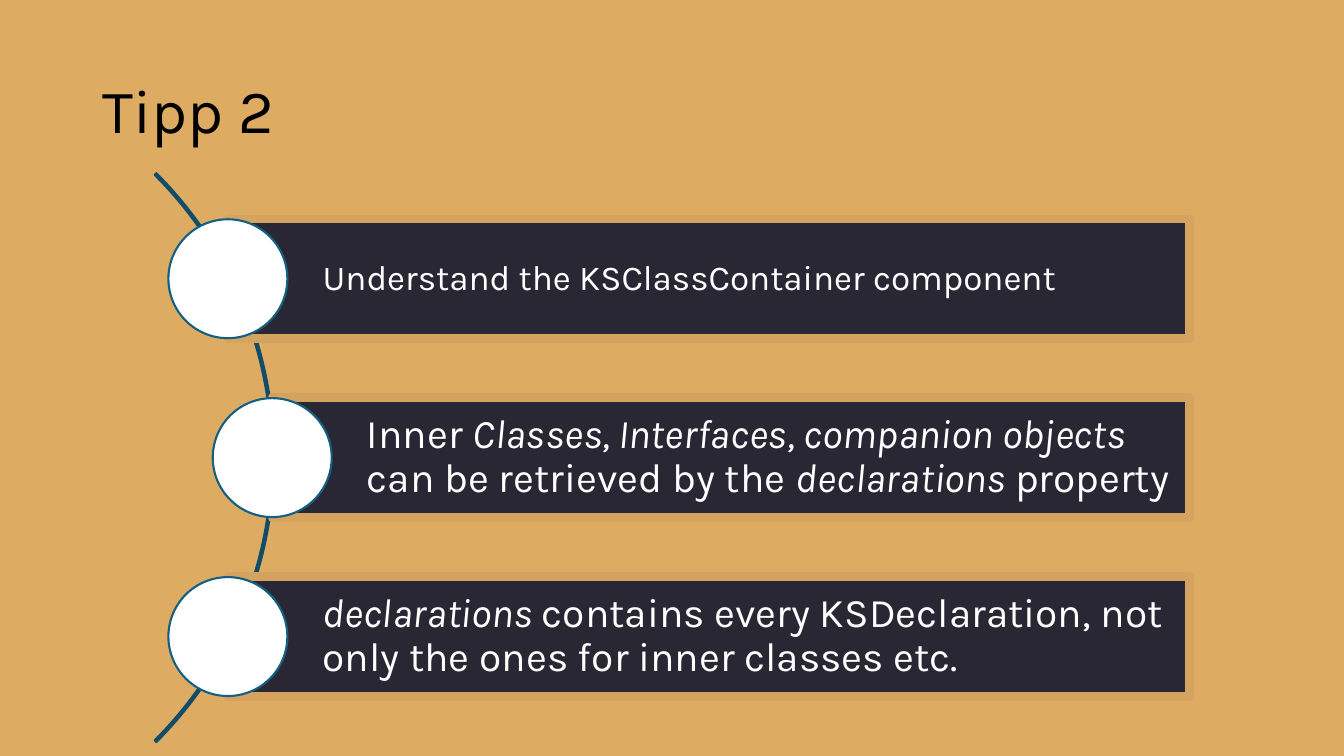
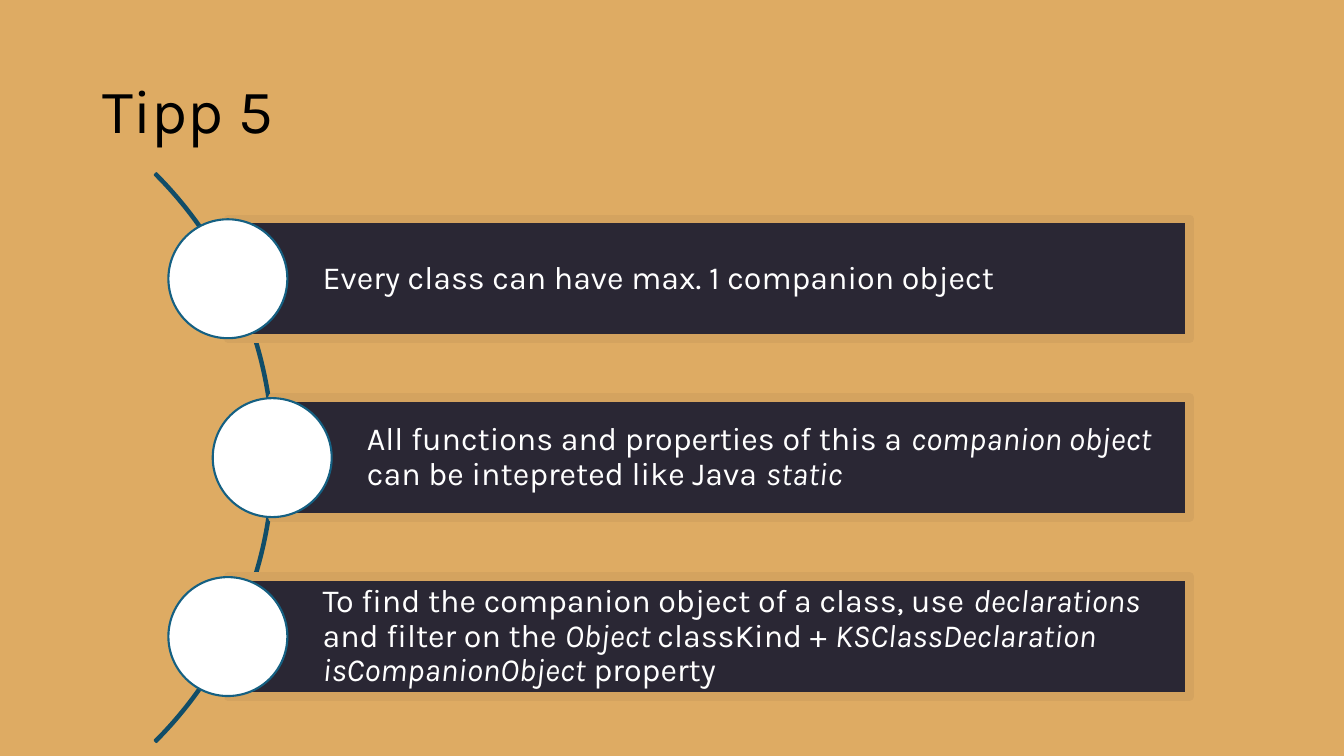
from pptx import Presentation
from pptx.dml.color import RGBColor
from pptx.enum.shapes import MSO_SHAPE
from pptx.enum.text import MSO_ANCHOR, PP_ALIGN
from pptx.util import Inches, Pt

# Shared look
SAND = RGBColor(0xDE, 0xAB, 0x63)
DARK_SAND = RGBColor(0xD4, 0xA3, 0x5F)
INK = RGBColor(0x2A, 0x27, 0x34)
DEEP_BLUE = RGBColor(0x11, 0x4D, 0x68)
BLUE = RGBColor(0x15, 0x60, 0x82)
WHITE = RGBColor(0xFF, 0xFF, 0xFF)
BLACK = RGBColor(0, 0, 0)
FONT = "Karla"

# Layout in inches
ARC_LEFT, ARC_TOP, ARC_SIZE = -5.26, 0.55, 7.98
MIDDLE = ARC_TOP + ARC_SIZE / 2
ROW_STEP = 1.775
DISC_CENTERS = (2.26, 2.7, 2.26)
DISC_SIZE = 1.18
BAR_RIGHT, BAR_HEIGHT = 11.8, 1.19

# Title and (text, size) rows; text between asterisks is italic
TIPS = [
    ("Tipp 2", 0.08, [
        ("Understand the KSClassContainer component", 25),
        ("Inner *Classes, Interfaces, companion objects *"
         "can be retrieved by the *declarations *property", 29),
        ("*declarations *contains every KSDeclaration, "
         "not only the ones for inner classes etc.", 29),
    ]),
    ("Tipp 5", 0.06, [
        ("Every class can have max. 1 companion object", 23),
        ("All functions and properties of this a *companion object *"
         "can be intepreted like Java *static*", 23),
        ("To find the companion object of a class, use *declarations* "
         "and filter on the *Object *classKind + "
         "*KSClassDeclaration isCompanionObject* property", 23),
    ]),
]


def set_values(target, values):
    for name, value in values.items():
        setattr(target, name, value)


def add_outlined(page, kind, place, fill, line, width):
    shape = page.shapes.add_shape(kind, *map(Inches, place))
    shape.shadow.inherit = False
    if fill is None:
        shape.fill.background()
    else:
        shape.fill.solid()
        shape.fill.fore_color.rgb = fill
    shape.line.color.rgb = line
    shape.line.width = Pt(width)
    return shape


def write_text(box, text, size, color, left=0.1, inset=0.05):
    frame = box.text_frame
    set_values(frame, {
        "word_wrap": True, "vertical_anchor": MSO_ANCHOR.MIDDLE,
        "margin_left": Inches(left), "margin_right": Inches(inset),
        "margin_top": Inches(inset), "margin_bottom": Inches(inset),
    })
    para = frame.paragraphs[0]
    set_values(para, {"alignment": PP_ALIGN.LEFT, "line_spacing": 0.9})
    for index, part in enumerate(text.split("*")):
        if part:
            span = para.add_run()
            span.text = part
            set_values(span.font, {"name": FONT, "size": Pt(size),
                                   "italic": index % 2 == 1})
            span.font.color.rgb = color


def add_title(page, text):
    box = page.shapes.add_textbox(*map(Inches, (0.92, 0.4, 11.5, 1.45)))
    write_text(box, text, 44, BLACK)


def add_arc(page):
    arc = add_outlined(page, MSO_SHAPE.BLOCK_ARC,
                       (ARC_LEFT, ARC_TOP, ARC_SIZE, ARC_SIZE),
                       None, DEEP_BLUE, 1.5)
    # Start and end angle (315 and 45 degrees), then thickness
    for index, value in enumerate((189, 27, 0.003)):
        arc.adjustments[index] = value


def add_row(page, center_x, center_y, text, size, inset):
    bar = add_outlined(page, MSO_SHAPE.RECTANGLE,
                       (center_x, center_y - BAR_HEIGHT / 2,
                        BAR_RIGHT - center_x, BAR_HEIGHT),
                       INK, DARK_SAND, 6)
    write_text(bar, text, size, WHITE, 0.94, inset)
    radius = DISC_SIZE / 2
    add_outlined(page, MSO_SHAPE.OVAL,
                 (center_x - radius, center_y - radius, DISC_SIZE, DISC_SIZE),
                 WHITE, BLUE, 1.5)


def add_tip(deck, title, inset, rows):
    page = deck.slides.add_slide(deck.slide_layouts[6])
    add_arc(page)
    for index, (text, size) in enumerate(rows):
        add_row(page, DISC_CENTERS[index], MIDDLE + (index - 1) * ROW_STEP,
                text, size, inset)
    add_title(page, title)


def main():
    deck = Presentation()
    set_values(deck, {"slide_width": Inches(13.33),
                      "slide_height": Inches(7.5)})
    background = deck.slide_master.background.fill
    background.solid()
    background.fore_color.rgb = SAND
    for title, inset, rows in TIPS:
        add_tip(deck, title, inset, rows)
    deck.save("out.pptx")


if __name__ == "__main__":
    main()
